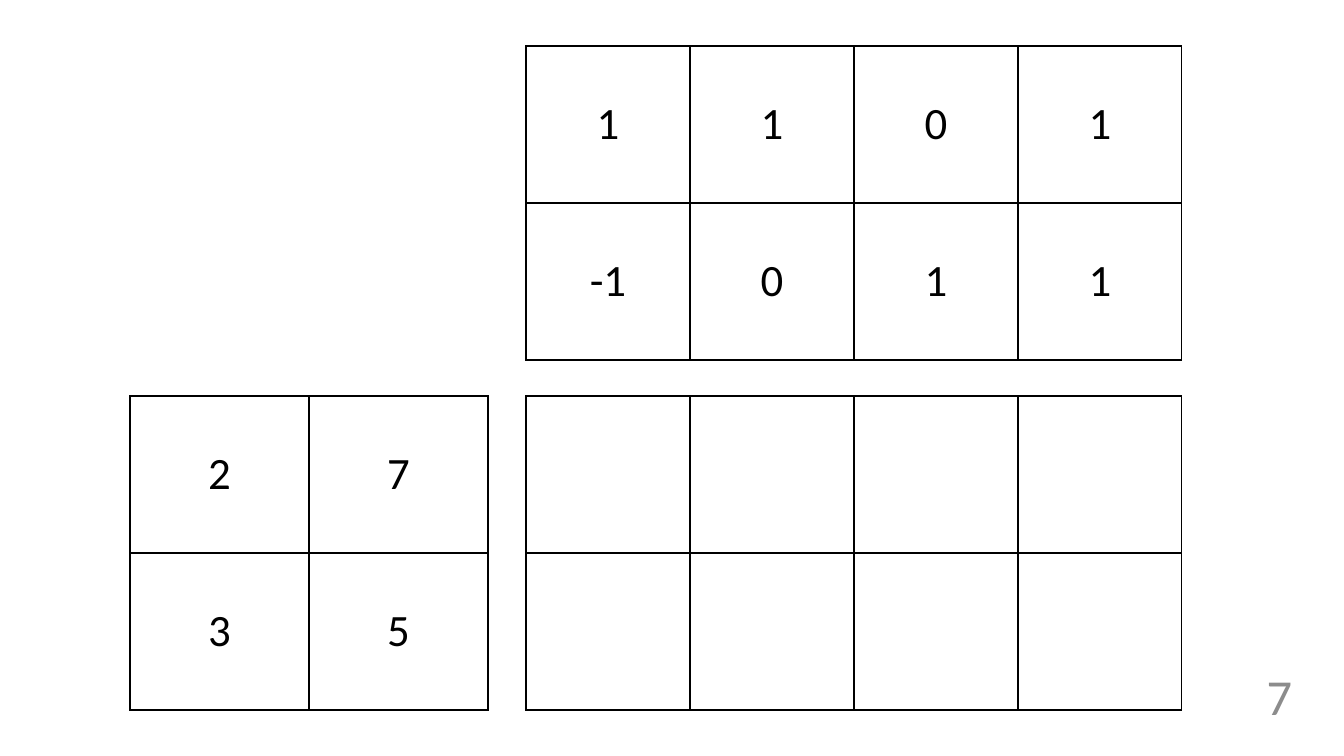
from lxml import etree
from pptx import Presentation
from pptx.dml.color import RGBColor
from pptx.enum.text import MSO_ANCHOR as Anchor, PP_ALIGN as Align
from pptx.oxml import parse_xml
from pptx.oxml.ns import nsdecls
from pptx.util import Pt

PX = 914400 / 100.8
COLORS = {"ink": "000000", "page_number": "8C8C8C"}
FONT = "Calibri"


def px(length):
    return round(length * PX)


def style(paragraph, align, size, color):
    paragraph.alignment = align
    # Paragraph-level font also sizes the empty cells
    for font in [paragraph.font] + [run.font for run in paragraph.runs]:
        font.name = FONT
        font.size = Pt(size)
        font.color.rgb = RGBColor.from_string(COLORS[color])


prs = Presentation()
prs.slide_width, prs.slide_height = px(1344), px(756)
slide = prs.slides.add_slide(prs.slide_layouts[6])

# Matrices: left, top, column width, values
ROW_HEIGHT = 157
matrices = [
    (130, 396, 179, [["2", "7"], ["3", "5"]]),
    (526, 46, 164, [["1", "1", "0", "1"], ["-1", "0", "1", "1"]]),
    (526, 396, 164, [[""] * 4] * 2),
]
for left, top, column_width, values in matrices:
    row_count, column_count = len(values), len(values[0])
    matrix = slide.shapes.add_table(
        row_count, column_count, px(left), px(top),
        px(column_width * column_count), px(ROW_HEIGHT * row_count)).table
    matrix.first_row = matrix.horz_banding = False
    for column in matrix.columns:
        column.width = px(column_width)
    for row, row_values in zip(matrix.rows, values):
        row.height = px(ROW_HEIGHT)
        for cell, value in zip(row.cells, row_values):
            cell.text_frame.text = value
            cell.vertical_anchor = Anchor.MIDDLE
            style(cell.text_frame.paragraphs[0], Align.CENTER, 32, "ink")
            cell.fill.background()
            # Borders go before the fill in the cell properties
            properties = cell._tc.get_or_add_tcPr()
            for position, side in enumerate(("lnL", "lnR", "lnT", "lnB")):
                border = parse_xml(f'<a:{side} {nsdecls("a")} w="{Pt(1)}"/>')
                fill = etree.SubElement(border, border.tag.replace(side, "solidFill"))
                color = etree.SubElement(fill, border.tag.replace(side, "srgbClr"))
                color.set("val", COLORS["ink"])
                properties.insert(position, border)

# Page number
page_number = slide.shapes.add_textbox(px(1176), px(652), px(126), px(87)).text_frame
page_number.word_wrap = True
page_number.vertical_anchor = Anchor.MIDDLE
page_number.text = "7"
style(page_number.paragraphs[0], Align.RIGHT, 36, "page_number")

prs.save("out.pptx")
